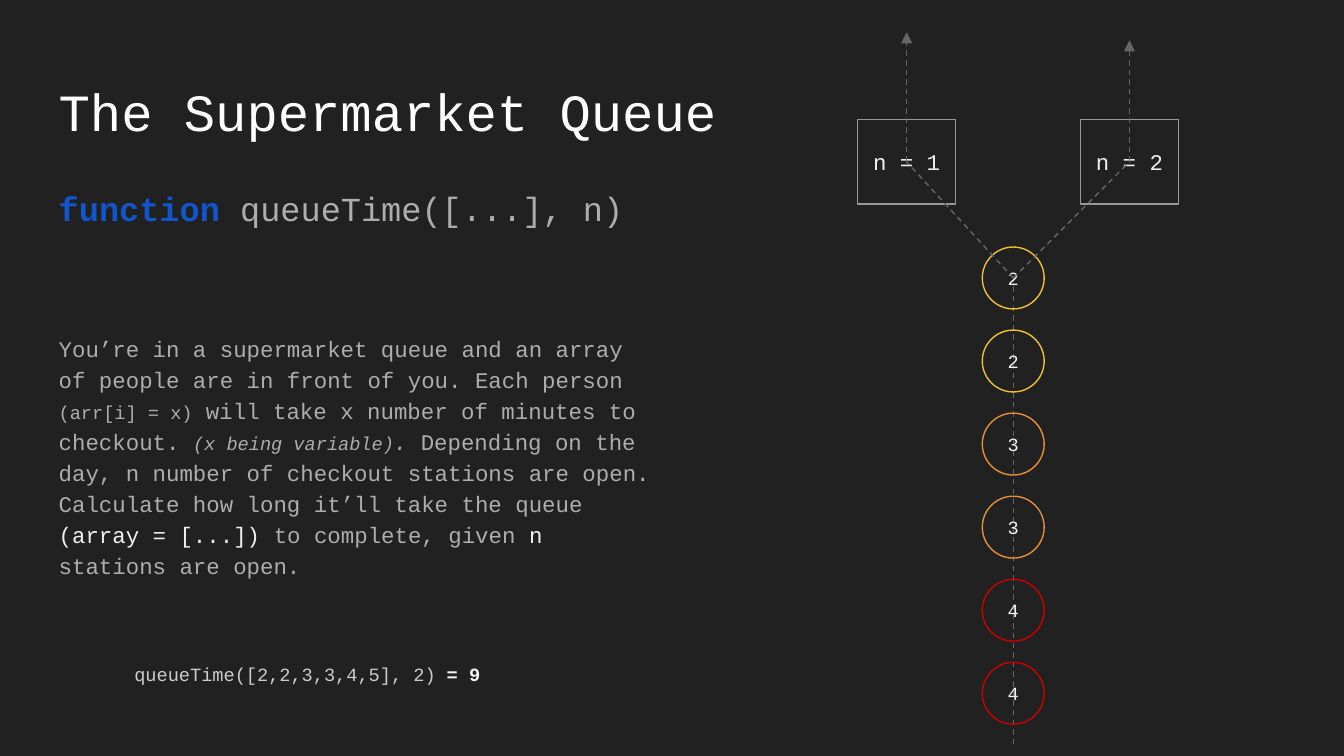
import pptx
import pptx.dml.color
import pptx.enum.dml
import pptx.enum.shapes
import pptx.enum.text
import pptx.oxml.ns
import pptx.util
from lxml import etree
from pptx.util import Cm

FONT = "Courier New"
GREY, PALE, WHITE = "ADADAD", "EFEFEF", "F3F3F3"
YELLOW, ORANGE, RED = "F1C232", "E69138", "CC0000"
SHAPE = pptx.enum.shapes.MSO_SHAPE


def color(value):
    return pptx.dml.color.RGBColor.from_string(value)


def add_run(paragraph, text, size=12, fill=GREY, bold=False, italic=False):
    run = paragraph.add_run()
    run.text = text
    font = run.font
    font.name, font.size = FONT, pptx.util.Pt(size)
    font.bold, font.italic = bold, italic
    font.color.rgb = color(fill)


def set_insets(frame):
    frame.word_wrap = True
    frame.margin_left = frame.margin_right = Cm(0.25)
    frame.margin_top = frame.margin_bottom = Cm(0.25)


def add_text_box(slide, left, top, width, height):
    frame = slide.shapes.add_textbox(Cm(left), Cm(top), Cm(width), Cm(height)).text_frame
    set_insets(frame)
    return frame


def add_node(slide, kind, box, label, size, outline, fill):
    """Unfilled outlined shape with a centred label."""
    node = slide.shapes.add_shape(kind, *(Cm(length) for length in box))
    node.shadow.inherit = False
    node.fill.background()
    node.line.color.rgb = color(outline)
    node.line.width = pptx.util.Pt(0.75)
    frame = node.text_frame
    set_insets(frame)
    frame.vertical_anchor = pptx.enum.text.MSO_ANCHOR.MIDDLE
    paragraph = frame.paragraphs[0]
    paragraph.alignment = pptx.enum.text.PP_ALIGN.CENTER
    add_run(paragraph, label, size=size, fill=fill)


def add_dashed_line(slide, x1, y1, x2, y2, arrow=False):
    line = slide.shapes.add_connector(
        pptx.enum.shapes.MSO_CONNECTOR.STRAIGHT, Cm(x1), Cm(y1), Cm(x2), Cm(y2))
    line.line.color.rgb = color("666666")
    line.line.width = pptx.util.Pt(0.75)
    line.line.dash_style = pptx.enum.dml.MSO_LINE.DASH
    properties = line.line._get_or_add_ln()
    if arrow:
        etree.SubElement(properties, pptx.oxml.ns.qn("a:tailEnd"), type="triangle")
    etree.SubElement(line._element.spPr, pptx.oxml.ns.qn("a:effectLst"))


def add_problem(slide, left, top, width, height):
    """Title, function signature, description and example call."""
    title = add_text_box(slide, left, top, width, 1.6)
    add_run(title.paragraphs[0], "The Supermarket Queue", size=28, fill="FFFFFF")

    # Signature and description
    body = add_text_box(slide, left, top + 1.94, 11.84, 9.53)
    signature = body.paragraphs[0]
    signature.line_spacing = 1.15
    add_run(signature, "function", size=18, fill="1155CC", bold=True)
    add_run(signature, " queueTime([...], n)", size=18)

    description = body.add_paragraph()
    description.line_spacing = 1.15
    description.space_before = pptx.util.Pt(55.5)
    for text, style in (
        ("You’re in a supermarket queue and an array of people are in front of you. "
         "Each person ", {}),
        ("(arr[i] = x)", {"size": 10}),
        (" will take x number of minutes to checkout. ", {}),
        ("(x being variable)", {"size": 10, "italic": True}),
        (".", {"italic": True}),
        (" Depending on the day, n number of checkout stations are open. "
         "Calculate how long it’ll take the queue ", {}),
        ("(array = [...])", {"fill": PALE}),
        (" to complete, given ", {}),
        ("n", {"fill": PALE}),
        (" stations are open.", {}),
    ):
        add_run(description, text, **style)

    # Example call
    example = add_text_box(slide, left + 1.43, top + height - 0.79, 7.26, 0.79).paragraphs[0]
    add_run(example, "queueTime([2,2,3,3,4,5], 2) ", size=10, fill="CCCCCC")
    add_run(example, "= 9", size=10, fill=WHITE, bold=True)


def add_queue(slide, left, top, width, height):
    """Checkout stations fed by a single column of people."""
    station_width, station_height, station_top = 1.85, 1.6, top + 1.65
    station_middle = station_top + station_height / 2
    diameter, pitch, first_top = 1.17, 1.57, top + 4.06
    queue_x = left + width / 2 - 0.09
    queue_head = first_top + diameter / 2

    # Line through the queue
    add_dashed_line(slide, queue_x, top + height, queue_x, queue_head)

    # Stations
    stations = (("n = 1", left, top), ("n = 2", left + width - station_width, top + 0.15))
    for label, station_left, _ in stations:
        add_node(slide, SHAPE.RECTANGLE,
                 (station_left, station_top, station_width, station_height),
                 label, 12, "999999", PALE)

    # People, labelled with their checkout minutes
    people = ((2, YELLOW), (2, YELLOW), (3, ORANGE), (3, ORANGE), (4, RED), (4, RED))
    for place, (minutes, outline) in enumerate(people):
        add_node(slide, SHAPE.OVAL,
                 (queue_x - diameter / 2, first_top + place * pitch, diameter, diameter),
                 str(minutes), 10, outline, WHITE)

    # Ways to each station and out
    for _, station_left, exit_top in stations:
        station_x = station_left + station_width / 2
        add_dashed_line(slide, queue_x, queue_head, station_x, station_middle)
        add_dashed_line(slide, station_x, station_middle, station_x, exit_top, arrow=True)


def main():
    deck = pptx.Presentation()
    deck.slide_width, deck.slide_height = Cm(25.4), Cm(14.29)
    slide = deck.slides.add_slide(deck.slide_layouts[6])
    slide.background.fill.solid()
    slide.background.fill.fore_color.rgb = color("212121")
    add_problem(slide, 0.86, 1.24, 14.3, 11.87)
    add_queue(slide, 16.21, 0.61, 6.06, 13.46)
    deck.save("out.pptx")


if __name__ == "__main__":
    main()
